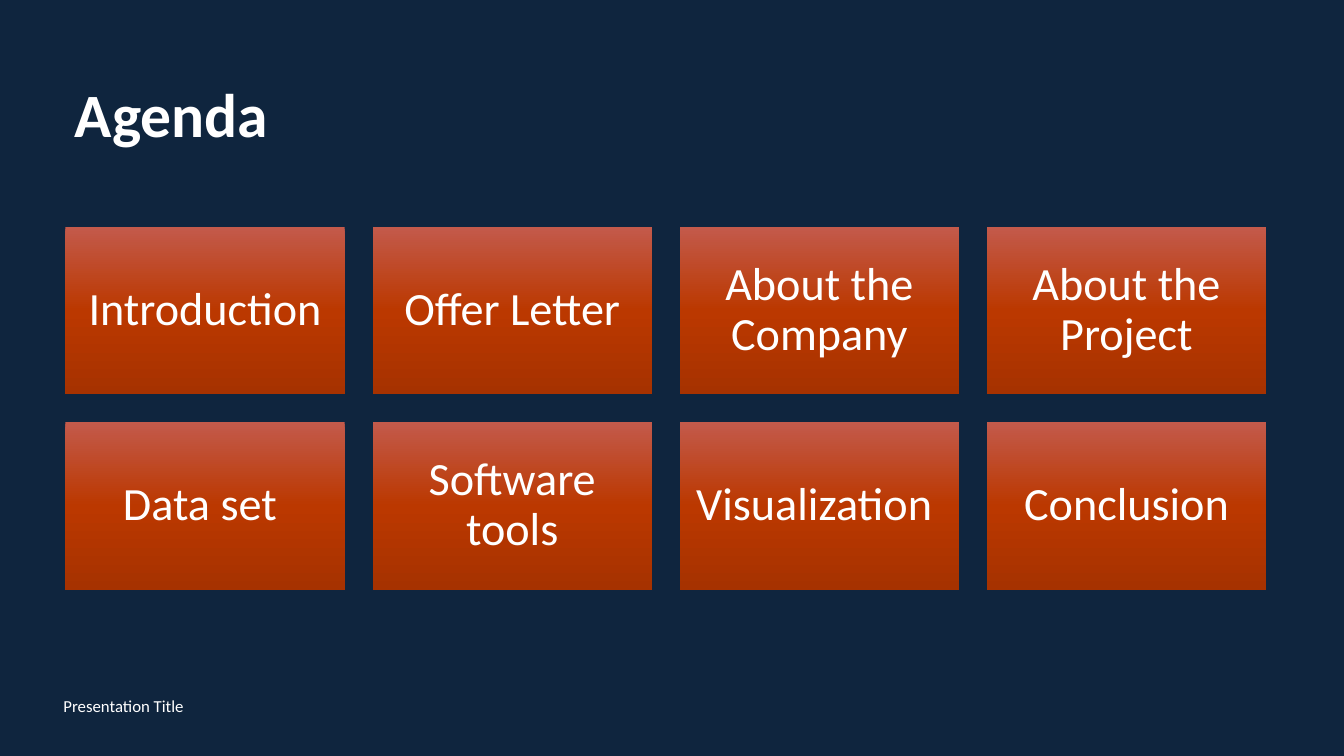
"""Build the agenda slide: a title, eight topic tiles and a footer."""
import copy
import dataclasses

import pptx
import pptx.dml.color
import pptx.enum.shapes
import pptx.enum.text
import pptx.oxml.ns
import pptx.util

Cm = pptx.util.Cm
Align = pptx.enum.text.PP_ALIGN


@dataclasses.dataclass(frozen=True)
class Theme:
    font: str = "Calibri"
    background: str = "0F253E"
    text: str = "FFFFFF"
    tile_stops: tuple = ((0, "C35A4B"), (0.5, "BB3800"), (1, "A63200"))
    title_size: int = 44
    tile_size: int = 33
    footer_size: int = 12


theme = Theme()


def rgb(value):
    return pptx.dml.color.RGBColor.from_string(value)


def write(shape, text, size, alignment, bold=False, line_spacing=0.9):
    frame = shape.text_frame
    frame.text = text
    frame.word_wrap = True
    frame.auto_size = pptx.enum.text.MSO_AUTO_SIZE.NONE
    frame.vertical_anchor = pptx.enum.text.MSO_ANCHOR.MIDDLE
    paragraph = frame.paragraphs[0]
    paragraph.alignment = alignment
    paragraph.line_spacing = line_spacing
    paragraph.font.name = theme.font
    paragraph.font.size = pptx.util.Pt(size)
    paragraph.font.bold = bold
    paragraph.font.color.rgb = rgb(theme.text)


deck = pptx.Presentation()
deck.slide_width, deck.slide_height = Cm(33.87), Cm(19.05)
agenda = deck.slides.add_slide(deck.slide_layouts[5])
agenda.background.fill.solid()
agenda.background.fill.fore_color.rgb = rgb(theme.background)

heading = agenda.shapes.title
heading.left, heading.top = Cm(1.63), Cm(1.4)
heading.width, heading.height = Cm(29.21), Cm(3.1)
write(heading, "Agenda", theme.title_size, Align.LEFT, bold=True)

topics = [
    "Introduction", "Offer Letter", "About the Company", "About the Project",
    "Data set ", "Software tools", "Visualization ", "Conclusion",
]
columns = 4
left, top = 1.65, 5.72
tile_width, tile_height, gap = 7.04, 4.22, 0.7

for index, topic in enumerate(topics):
    row, column = divmod(index, columns)
    tile = agenda.shapes.add_shape(
        pptx.enum.shapes.MSO_SHAPE.RECTANGLE,
        Cm(left + column * (tile_width + gap)),
        Cm(top + row * (tile_height + gap)),
        Cm(tile_width),
        Cm(tile_height),
    )
    tile.shadow.inherit = False
    tile.line.fill.background()
    tile.fill.gradient()
    tile.fill.gradient_angle = 270
    stop_list = tile.element.spPr.find(".//" + pptx.oxml.ns.qn("a:gsLst"))
    stop_list.append(copy.deepcopy(stop_list[-1]))
    for stop, (position, color) in zip(tile.fill.gradient_stops, theme.tile_stops):
        stop.position = position
        stop.color.rgb = rgb(color)
    frame = tile.text_frame
    frame.margin_left = frame.margin_right = Cm(0.36)
    frame.margin_top = frame.margin_bottom = Cm(0.36)
    write(tile, topic, theme.tile_size, Align.CENTER)

footer = agenda.shapes.add_textbox(Cm(1.35), Cm(17.27), Cm(11.43), Cm(1.02))
write(footer, "Presentation Title", theme.footer_size, Align.LEFT, line_spacing=1.0)

deck.save("out.pptx")
